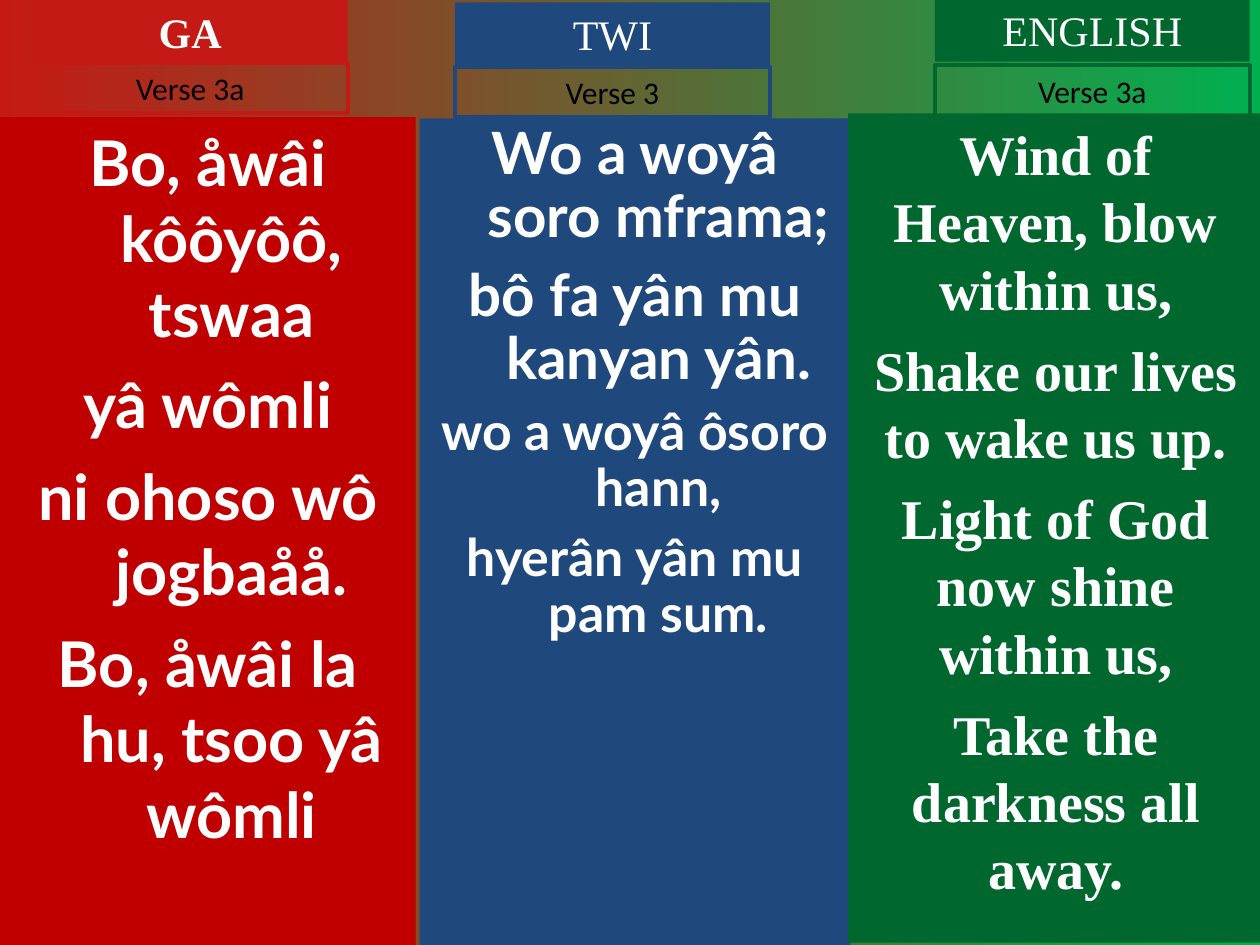
from pptx import Presentation
from pptx import util as u
from pptx.dml import color as col
from pptx.enum import shapes, text

HUES = {"glow": "C51915", "leaf": "00B050", "red": "C00000", "blue": "1F497D",
        "green": "00682F", "white": "FFFFFF", "black": "000000"}
SERIF = "Times New Roman"
HEAD_W, HEAD_H, VERSE_H = 180, 36, 28.8


def rgb(name):
    return col.RGBColor.from_string(HUES[name])


def panel(slide, box, fill=None, line=None, fit=False):
    rect = slide.shapes.add_shape(shapes.MSO_SHAPE.RECTANGLE, *[u.Pt(n) for n in box])
    rect.shadow.inherit = False
    if fill:
        rect.fill.solid()
        rect.fill.fore_color.rgb = rgb(fill)
    else:
        rect.fill.background()
    if line:
        rect.line.color.rgb = rgb(line)
        rect.line.width = u.Pt(2.25)
    else:
        rect.line.fill.background()
    frame = rect.text_frame
    frame.word_wrap = True
    frame.vertical_anchor = text.MSO_ANCHOR.TOP
    if fit:
        frame.auto_size = text.MSO_AUTO_SIZE.SHAPE_TO_FIT_TEXT
    return frame


def write(frame, words, size, font, hue="white", bold=False, gap=0, lead=None, hang=0, first=True):
    para = frame.paragraphs[0] if first else frame.add_paragraph()
    para.alignment = text.PP_ALIGN.CENTER
    para.space_before = u.Pt(0 if first else gap)
    if lead:
        para.line_spacing = lead
    if hang:
        props = para._p.get_or_add_pPr()
        props.set("marL", str(u.Pt(hang)))
        props.set("indent", str(-u.Pt(hang)))
    run = para.add_run()
    run.text = words
    run.font.size = u.Pt(size)
    run.font.name = font
    run.font.bold = bold
    run.font.color.rgb = rgb(hue)


def column(slide, box, hue, lines, head, verse, shift, drop, edge=None, strong=False, **form):
    x, y = box[:2]
    edge = edge or hue
    body = panel(slide, box, fill=hue)
    for i, (words, size, gap) in enumerate(lines):
        write(body, words, size, bold=True, gap=gap, first=i == 0, **form)
    top = panel(slide, (x + shift, y - drop[0], HEAD_W, HEAD_H), fill=edge, fit=True)
    write(top, head, 24, SERIF, bold=strong)
    tag = panel(slide, (x + shift, y - drop[1], HEAD_W, VERSE_H), line=edge, fit=True)
    write(tag, verse, 18, "Calibri", hue="black")


def backdrop(slide):
    fill = slide.background.fill
    fill.gradient()
    fill.gradient_angle = 0
    for stop, hue in zip(fill.gradient_stops, ("glow", "leaf")):
        stop.color.rgb = rgb(hue)


def main():
    deck = Presentation()
    deck.slide_width, deck.slide_height = u.Pt(720), u.Pt(540)
    slide = deck.slides.add_slide(deck.slide_layouts[6])
    backdrop(slide)

    ga = [(words, 36, 9) for words in (
        "Bo, åwâi kôôyôô, tswaa", "yâ wômli",
        "ni ohoso wô jogbaåå.", "Bo, åwâi la hu, tsoo yâ wômli")]
    twi = [("Wo a woyâ soro mframa;", 33.3, 9), ("bô fa yân mu kanyan yân.", 33.3, 9),
           ("wo a woyâ ôsoro hann,", 29.6, 8), ("hyerân yân mu pam sum.", 29.6, 8)]
    eng = [(words, 32, 8) for words in (
        "Wind of Heaven, blow within us,", "Shake our lives to wake us up.",
        "Light of God now shine within us,", "Take the darkness all away.")]

    column(slide, (0, 67, 237.6, 473), "red", ga, "GA", "Verse 3a", 18.7, (67, 31),
           edge="glow", strong=True, font="Lato", hang=27)
    column(slide, (239.8, 67.7, 246.2, 472.3), "blue", twi, "TWI", "Verse 3", 20.2, (66.3, 29.5),
           font="Lato", hang=27, lead=0.9)
    column(slide, (484.6, 64.8, 237.6, 473.8), "green", eng, "ENGLISH", "Verse 3a", 49.6, (65.5, 27.4),
           font=SERIF)
    deck.save("out.pptx")


if __name__ == "__main__":
    main()
